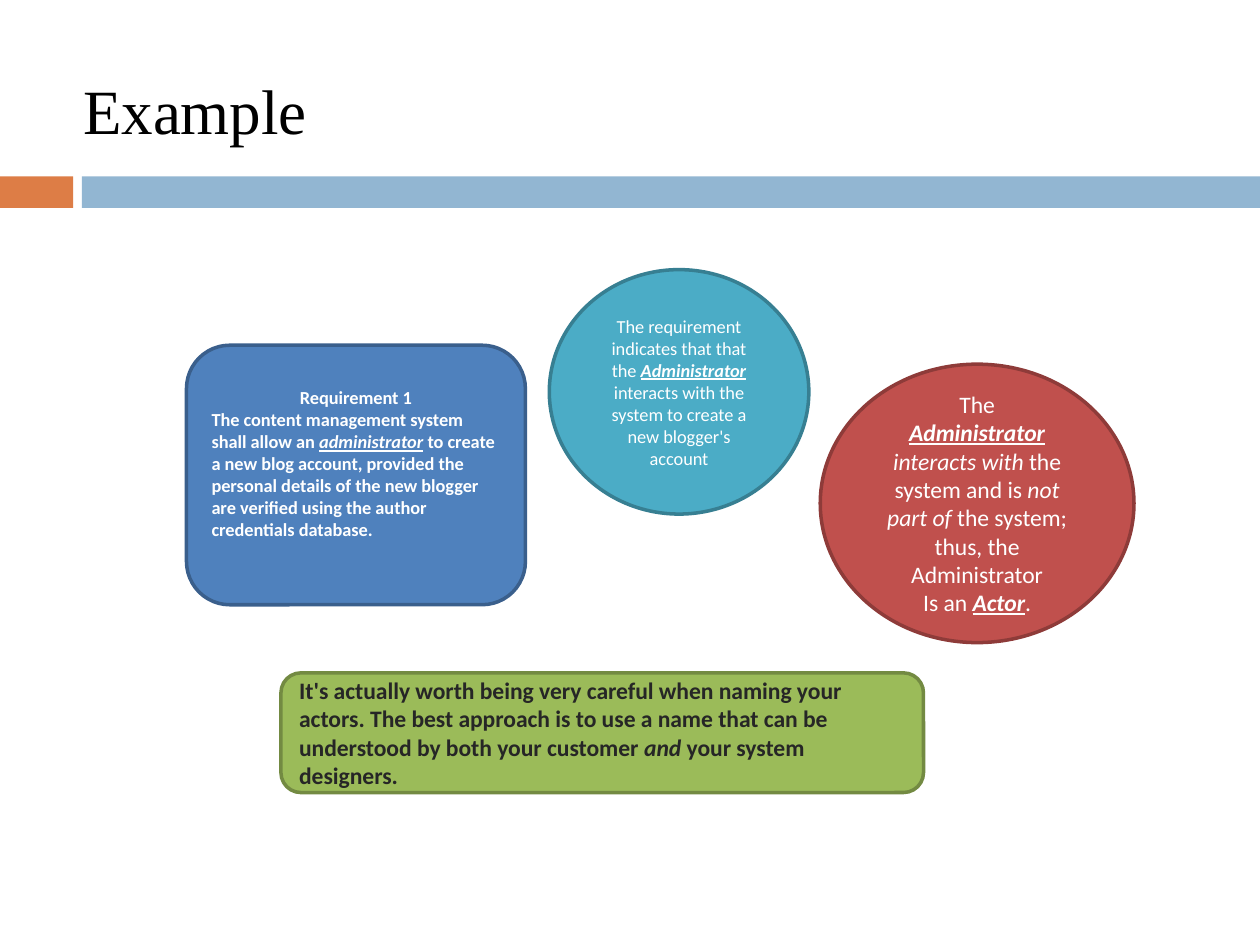
from pptx import Presentation
from pptx.dml.color import RGBColor
from pptx.enum.shapes import MSO_SHAPE
from pptx.enum.text import MSO_ANCHOR, MSO_AUTO_SIZE, PP_ALIGN
from pptx.util import Inches, Pt

RECTANGLE = MSO_SHAPE.RECTANGLE
ROUNDED = MSO_SHAPE.ROUNDED_RECTANGLE
OVAL = MSO_SHAPE.OVAL
LEFT, CENTER = PP_ALIGN.LEFT, PP_ALIGN.CENTER
MIDDLE = MSO_ANCHOR.MIDDLE

BLACK = RGBColor(0x00, 0x00, 0x00)
WHITE = RGBColor(0xFF, 0xFF, 0xFF)
CHARCOAL = RGBColor(0x26, 0x26, 0x26)
ORANGE = RGBColor(0xDD, 0x7D, 0x46)
PALE_BLUE = RGBColor(0x92, 0xB6, 0xD2)
BLUE, DARK_BLUE = RGBColor(0x4F, 0x81, 0xBD), RGBColor(0x3A, 0x5F, 0x8C)
TEAL, DARK_TEAL = RGBColor(0x4B, 0xAC, 0xC6), RGBColor(0x37, 0x7F, 0x92)
RED, DARK_RED = RGBColor(0xC0, 0x50, 0x4D), RGBColor(0x8E, 0x3B, 0x39)
GREEN, DARK_GREEN = RGBColor(0x9B, 0xBB, 0x59), RGBColor(0x73, 0x8A, 0x42)


def add_filled_shape(kind, left, top, width, height, fill):
    shape = slide.shapes.add_shape(
        kind, Inches(left), Inches(top), Inches(width), Inches(height))
    shape.shadow.inherit = False
    shape.fill.solid()
    shape.fill.fore_color.rgb = fill
    return shape


def write_paragraphs(frame, paragraphs, size, color):
    """Write (alignment, spans) pairs; a span is (text, styles), styles from b, i, u."""
    for index, (alignment, spans) in enumerate(paragraphs):
        para = frame.add_paragraph() if index else frame.paragraphs[0]
        para.alignment = alignment
        for text, styles in spans:
            span = para.add_run()
            span.text = text
            font = span.font
            font.name, font.size, font.color.rgb = "Calibri", Pt(size), color
            font.bold, font.italic, font.underline = (key in styles for key in "biu")


deck = Presentation()
deck.slide_width, deck.slide_height = Inches(10), Inches(7.5)
slide = deck.slides.add_slide(deck.slide_layouts[5])

# Band under the title
for left, width, color in [(0, 0.58, ORANGE), (0.65, 9.35, PALE_BLUE)]:
    band = add_filled_shape(RECTANGLE, left, 1.4, width, 0.25, color)
    band.line.fill.background()

title = slide.shapes.title
title.left, title.top = Inches(0.66), Inches(0.55)
title.width, title.height = Inches(8.68), Inches(0.63)
frame = title.text_frame
frame.text = "Example"
frame.auto_size = MSO_AUTO_SIZE.SHAPE_TO_FIT_TEXT
frame.vertical_anchor = MIDDLE
frame.margin_left = frame.margin_right = frame.margin_top = frame.margin_bottom = 0
frame.paragraphs[0].alignment = LEFT
title_font = frame.paragraphs[0].runs[0].font
title_font.name, title_font.size = "Times New Roman", Pt(36)
title_font.color.rgb = BLACK

requirement = [
    (CENTER, [("Requirement 1", "b")]),
    (LEFT, [
        ("The content management system shall allow an ", "b"),
        ("administrator", "biu"),
        (" to create a new blog account, provided the personal details of the new "
         "blogger are verified using the author credentials database.", "b"),
    ]),
]
interaction = [
    (CENTER, [
        ("The requirement indicates that that the ", ""),
        ("Administrator", "biu"),
        (" interacts with the system to create a new blogger's account", ""),
    ]),
]
conclusion = [
    (CENTER, [("The", "")]),
    (CENTER, [
        ("Administrator", "biu"),
        (" ", ""),
        ("interacts with ", "i"),
        ("the system and is ", ""),
        ("not part of ", "i"),
        ("the system; thus, the Administrator", ""),
    ]),
    (CENTER, [("Is an ", ""), ("Actor", "biu"), (".", "")]),
]
advice = [
    (LEFT, [
        ("It's actually worth being very careful when naming your actors. The best "
         "approach is to use a name that can be understood by both your customer ", "b"),
        ("and ", "bi"),
        ("your system designers.", "b"),
    ]),
]

# Kind, place, fill, outline, paragraphs, text size, text colour, bottom margin
boxes = [
    (ROUNDED, (1.48, 2.74, 2.69, 2.06), BLUE, DARK_BLUE, requirement, 10.5, WHITE, 0.23),
    (OVAL, (4.36, 2.14, 2.06, 1.94), TEAL, DARK_TEAL, interaction, 10.5, WHITE, 0.05),
    (OVAL, (6.51, 2.89, 2.49, 2.21), RED, DARK_RED, conclusion, 13.5, WHITE, 0.05),
    (ROUNDED, (2.23, 5.34, 5.1, 0.95), GREEN, DARK_GREEN, advice, 13.5, CHARCOAL, 0.05),
]
for kind, place, fill, outline, paragraphs, size, color, bottom in boxes:
    box = add_filled_shape(kind, *place, fill)
    box.line.color.rgb = outline
    box.line.width = Pt(2)
    box.text_frame.word_wrap = True
    box.text_frame.vertical_anchor = MIDDLE
    box.text_frame.margin_bottom = Inches(bottom)
    write_paragraphs(box.text_frame, paragraphs, size, color)

deck.save("out.pptx")
